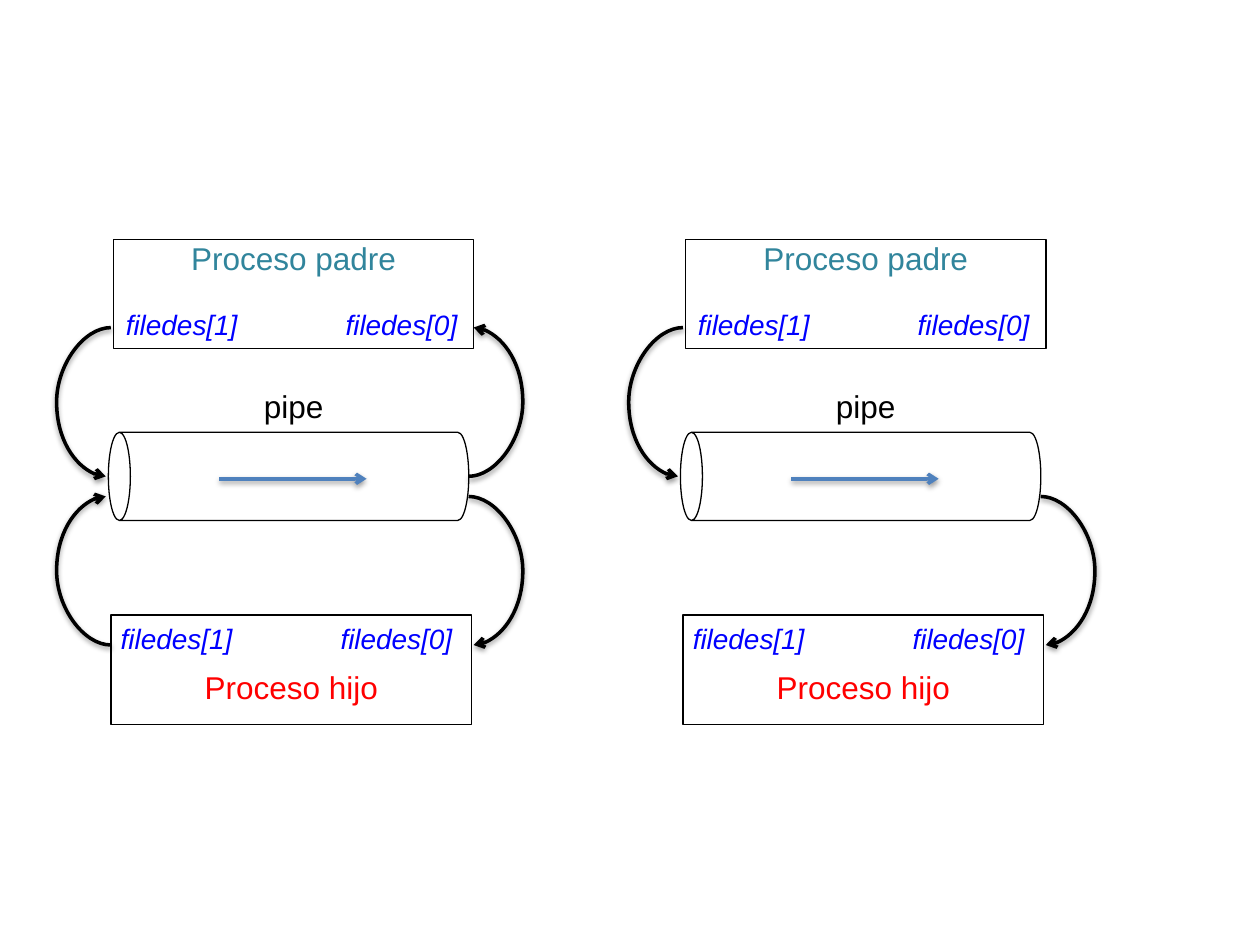
"""Build a slide of two pipe diagrams between a parent and a child process."""
from dataclasses import dataclass

import pptx
import pptx.dml.color
import pptx.enum.shapes
import pptx.enum.text
import pptx.oxml
import pptx.oxml.ns
import pptx.shapes.connector
import pptx.shapes.group
import pptx.text.text
import pptx.util

Pt = pptx.util.Pt
RGBColor = pptx.dml.color.RGBColor
Shape = pptx.enum.shapes.MSO_SHAPE
Link = pptx.enum.shapes.MSO_CONNECTOR
Align = pptx.enum.text.PP_ALIGN
Anchor = pptx.enum.text.MSO_ANCHOR
Group = pptx.shapes.group.GroupShape

BLACK = RGBColor(0x00, 0x00, 0x00)
WHITE = RGBColor(0xFF, 0xFF, 0xFF)
TEAL = RGBColor(0x31, 0x85, 0x9C)
RED = RGBColor(0xFF, 0x00, 0x00)
BLUE = RGBColor(0x00, 0x00, 0xFF)
STEEL = RGBColor(0x4F, 0x81, 0xBD)

WIDTH = 206
STEP = 326.9
TAB = 189.5
BULGE = 31.1
NS = pptx.oxml.ns.nsdecls("a")
SHADOW = (
    f'<a:effectLst {NS}><a:outerShdw blurRad="{Pt(3.1)}" dist="{Pt(1.6)}" '
    'dir="5400000" rotWithShape="0"><a:srgbClr val="000000">'
    '<a:alpha val="38000"/></a:srgbClr></a:outerShdw></a:effectLst>'
)


@dataclass(frozen=True)
class Box:
    label: str
    color: RGBColor
    left: float
    top: float
    anchor: Anchor
    foot: float


@dataclass(frozen=True)
class Curve:
    left: float
    top: float
    right: float
    end: float


BOXES = (
    Box("Proceso padre", TEAL, 64.8, 136.8, Anchor.TOP, 0),
    Box("Proceso hijo", RED, 63.4, 351.4, Anchor.BOTTOM, 10.5),
)
ENDS = ((64.8, 172.1), (61.9, 351.4))
WRITE = Curve(63.4, 187.2, 60.5, 272.2)
CHILD = Curve(63.4, 368.6, 60.5, 283.7)
BACK = Curve(267.8, 272.2, 270.7, 187.2)
READ = Curve(267.8, 283.7, 270.7, 368.6)
PANELS = ((WRITE, CHILD, BACK, READ), (WRITE, READ))


def add_run(para: pptx.text.text._Paragraph, text: str, size: float,
            color: RGBColor, slant: bool = False) -> None:
    run = para.add_run()
    run.text = text
    run.font.name = "Arial"
    run.font.size = Pt(size)
    run.font.italic = slant
    run.font.color.rgb = color


def add_box(group: Group, box: Box, shift: float) -> None:
    shape = group.shapes.add_shape(
        Shape.RECTANGLE, Pt(box.left + shift), Pt(box.top), Pt(WIDTH), Pt(62.6))
    shape.shadow.inherit = False
    shape.fill.background()
    shape.line.color.rgb = BLACK
    shape.line.width = Pt(0.75)
    frame = shape.text_frame
    frame.vertical_anchor = box.anchor
    frame.margin_top = Pt(0)
    frame.margin_bottom = Pt(box.foot)
    para = frame.paragraphs[0]
    para.alignment = Align.CENTER
    add_run(para, box.label, 18, box.color)


def add_can(group: Group, shift: float) -> None:
    can = group.shapes.add_shape(
        Shape.CAN, Pt(139.7 + shift), Pt(169.2), Pt(50.4), Pt(WIDTH))
    can.rotation = 270
    can.shadow.inherit = False
    can.fill.solid()
    can.fill.fore_color.rgb = WHITE
    can.line.color.rgb = BLACK
    can.line.width = Pt(0.75)


def add_text(group: Group, left: float, top: float,
             high: float) -> pptx.text.text._Paragraph:
    frame = group.shapes.add_textbox(Pt(left), Pt(top), Pt(WIDTH), Pt(high)).text_frame
    frame.word_wrap = True
    return frame.paragraphs[0]


def add_ends(group: Group, left: float, top: float) -> None:
    para = add_text(group, left, top, 26.6)
    props = para._p.get_or_add_pPr()
    props.append(pptx.oxml.parse_xml(
        f'<a:tabLst {NS}><a:tab pos="{Pt(TAB)}" algn="r"/></a:tabLst>'))
    add_run(para, "filedes[1]\tfiledes[0]", 16, BLUE, True)


def add_arrow(group: Group, kind: Link, curve: Curve, shift: float,
              color: RGBColor) -> pptx.shapes.connector.Connector:
    arrow = group.shapes.add_connector(
        kind, Pt(curve.left + shift), Pt(curve.top),
        Pt(curve.right + shift), Pt(curve.end))
    arrow.line.color.rgb = color
    arrow.line.width = Pt(2)
    arrow.line._get_or_add_ln().append(
        pptx.oxml.parse_xml(f'<a:tailEnd {NS} type="arrow"/>'))
    arrow._element.spPr.append(pptx.oxml.parse_xml(SHADOW))
    return arrow


def add_curve(group: Group, curve: Curve, shift: float) -> None:
    arrow = add_arrow(group, Link.CURVE, curve, shift, BLACK)
    ratio = round(BULGE / abs(curve.right - curve.left) * 100000)
    guides = arrow._element.spPr.find(".//" + pptx.oxml.ns.qn("a:avLst"))
    guides.append(pptx.oxml.parse_xml(
        f'<a:gd {NS} name="adj1" fmla="val {ratio}"/>'))


def add_panel(group: Group, curves: tuple[Curve, ...], shift: float) -> None:
    for box in BOXES:
        add_box(group, box, shift)
    add_can(group, shift)
    for left, top in ENDS:
        add_ends(group, left + shift, top)
    para = add_text(group, 64.8 + shift, 217.4, 28.8)
    para.alignment = Align.CENTER
    add_run(para, "pipe", 18, BLACK)
    flow = Curve(125.3, 273.6, 209.5, 273.6)
    add_arrow(group, Link.STRAIGHT, flow, shift, STEEL)
    for curve in curves:
        add_curve(group, curve, shift)


def main() -> None:
    deck = pptx.Presentation()
    deck.slide_width = Pt(720)
    deck.slide_height = Pt(540)
    slide = deck.slides.add_slide(deck.slide_layouts[6])
    for index, curves in enumerate(PANELS):
        add_panel(slide.shapes.add_group_shape(), curves, index * STEP)
    deck.save("out.pptx")


if __name__ == "__main__":
    main()
